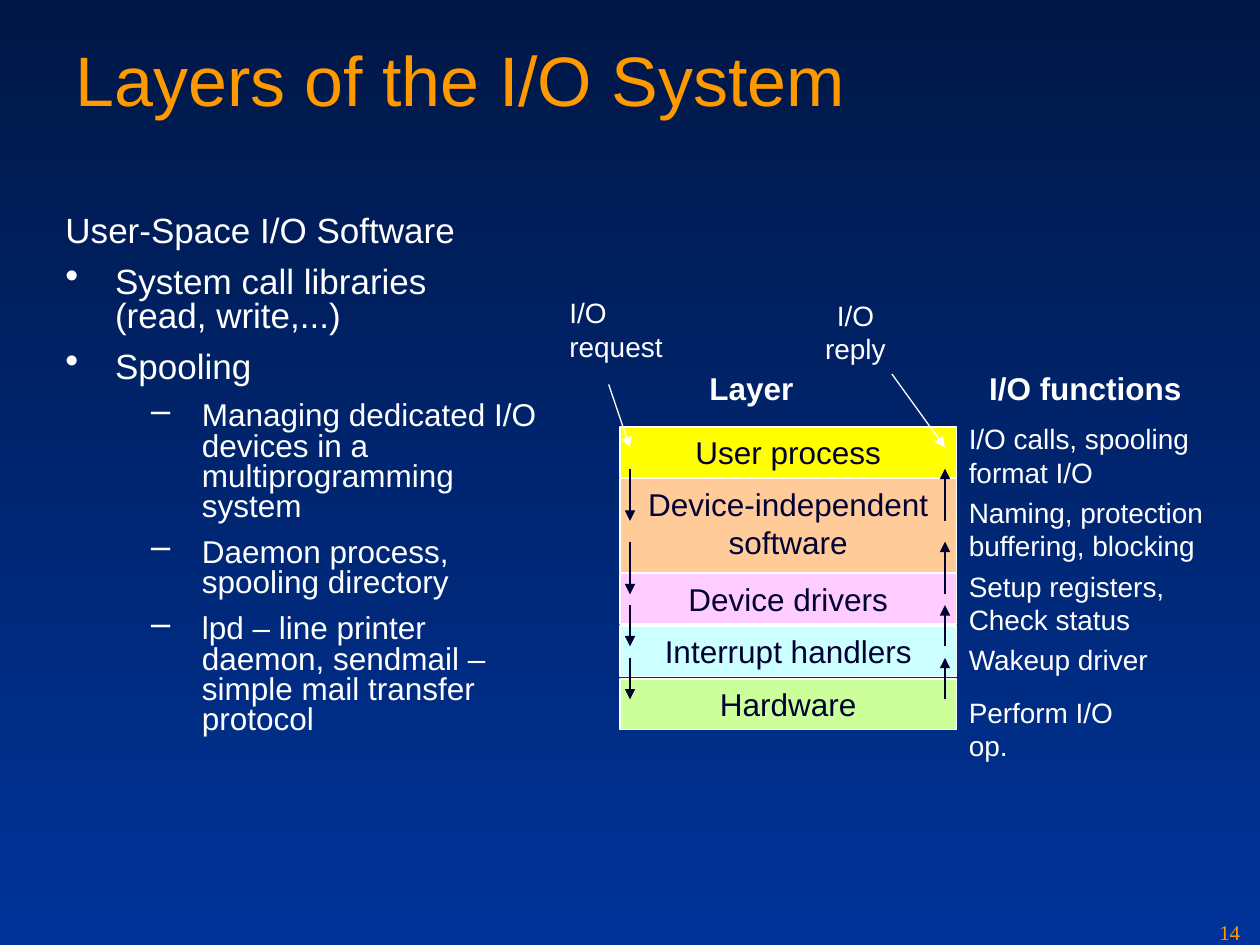
from lxml.etree import SubElement
from pptx import Presentation
from pptx.dml.color import RGBColor
from pptx.enum.shapes import MSO_CONNECTOR, MSO_SHAPE
from pptx.enum.text import MSO_ANCHOR, PP_ALIGN
from pptx.oxml.ns import qn
from pptx.util import Cm, Pt

WHITE = RGBColor(0xFF, 0xFF, 0xFF)
ORANGE = RGBColor(0xFE, 0x99, 0x00)
INK = RGBColor(0x00, 0x00, 0x33)
NIGHT = RGBColor(0x00, 0x17, 0x46)
BLUE = RGBColor(0x00, 0x33, 0x99)
YELLOW = RGBColor(0xFF, 0xFF, 0x00)
PEACH = RGBColor(0xFF, 0xCC, 0x99)
PINK = RGBColor(0xFF, 0xCC, 0xFF)
AQUA = RGBColor(0xCC, 0xFF, 0xFF)
LIME = RGBColor(0xCC, 0xFF, 0x99)

# All lengths are in centimetres.
TITLE = "Layers of the I/O System"
OUTLINE = [  # style, text
    ("heading", "User-Space I/O Software"),
    ("point", "System call libraries\v(read, write,...)"),
    ("point", "Spooling"),
    ("detail", "Managing dedicated I/O devices in a multiprogramming system"),
    ("detail", "Daemon process, spooling directory"),
    ("detail", "lpd – line printer daemon, sendmail – simple mail transfer protocol"),
]
STYLES = {
    "heading": dict(level=0, bullet=None, margin=1, hang=1, size=20, gap=5),
    "point": dict(level=0, bullet="•", margin=1, hang=1, size=20, gap=5),
    "detail": dict(level=1, bullet="–", margin=2.75, hang=1.02, size=18, gap=4.5),
}
LAYERS = [  # name, top, height, fill
    ("User process", 8.61, 1.02, YELLOW),
    ("Device-independent\nsoftware", 9.65, 1.9, PEACH),
    ("Device drivers", 11.56, 1.02, PINK),
    ("Interrupt handlers", 12.62, 1.02, AQUA),
    ("Hardware", 13.69, 1.02, LIME),
]
LAYER_LEFT, LAYER_WIDTH = 12.5, 6.78
FUNCTIONS = [  # text, top, width
    ("I/O calls, spooling\nformat I/O", 8.38, 4.95),
    ("Naming, protection\nbuffering, blocking", 9.86, 5.23),
    ("Setup registers,\nCheck status", 11.35, 4.45),
    ("Wakeup driver", 12.83, 4.14),
    ("Perform I/O op.", 13.89, 4.34),
]
REQUEST_X, REPLY_X = 12.7, 19.05
STEPS = [(9.45, 10.5), (10.92, 11.98), (12.2, 13.03), (13.26, 14.1)]
ENTRIES = [((12.27, 7.75), (REQUEST_X, 9.02)), ((17.98, 7.54), (REPLY_X, 9.02))]


def style_runs(para, size, color, name="Arial", bold=False):
    values = dict(size=Pt(size), name=name, bold=bold)
    for span in para.runs:
        for key, value in values.items():
            setattr(span.font, key, value)
        span.font.color.rgb = color


def write(shape, text, size, color, align=PP_ALIGN.LEFT, wrap=True, **font):
    frame = shape.text_frame
    frame.text = text
    frame.word_wrap = wrap
    frame.vertical_anchor = MSO_ANCHOR.TOP
    for para in frame.paragraphs:
        para.alignment = align
        style_runs(para, size, color, **font)


def add_label(page, text, left, top, width, height, size, color, **options):
    box = page.shapes.add_textbox(Cm(left), Cm(top), Cm(width), Cm(height))
    write(box, text, size, color, **options)


def add_bullet(para, char):
    props = para._p.get_or_add_pPr()
    if char is None:
        SubElement(props, qn("a:buNone"))
        return
    SubElement(SubElement(props, qn("a:buClr")), qn("a:srgbClr"), val=str(WHITE))
    SubElement(props, qn("a:buSzPct"), val="110000")
    SubElement(props, qn("a:buChar"), char=char)


def add_outline(page):
    box = page.shapes.add_textbox(Cm(1.07), Cm(4.24), Cm(10.36), Cm(11.63))
    frame = box.text_frame
    frame.word_wrap = True
    for index, (kind, text) in enumerate(OUTLINE):
        style = STYLES[kind]
        para = frame.add_paragraph() if index else frame.paragraphs[0]
        para.text = text
        para.level = style["level"]
        add_bullet(para, style["bullet"])
        props = para._p.get_or_add_pPr()
        props.set("marL", str(Cm(style["margin"])))
        # The heading wraps like a point but starts at the bullet position.
        props.set("indent", str(-Cm(style["hang"])))
        para.line_spacing = 0.8
        para.space_before = Pt(style["gap"] if index else 0)
        para.space_after = Pt(style["gap"])
        style_runs(para, style["size"], WHITE)


def add_layer(page, name, top, height, fill):
    bar = page.shapes.add_shape(MSO_SHAPE.RECTANGLE, Cm(LAYER_LEFT), Cm(top),
                                Cm(LAYER_WIDTH), Cm(height))
    bar.shadow.inherit = False
    bar.fill.solid()
    bar.fill.fore_color.rgb = fill
    bar.line.color.rgb = WHITE
    bar.line.width = Pt(0.75)
    write(bar, name, 18, INK, align=PP_ALIGN.CENTER)


def add_arrow(page, start, end, color):
    points = [Cm(value) for value in (*start, *end)]
    arrow = page.shapes.add_connector(MSO_CONNECTOR.STRAIGHT, *points)
    arrow.line.color.rgb = color
    arrow.line.width = Pt(0.75)
    SubElement(arrow.line._get_or_add_ln(), qn("a:tailEnd"), type="triangle")
    SubElement(arrow._element.spPr, qn("a:effectLst"))


def main():
    deck = Presentation()
    deck.slide_width, deck.slide_height = Cm(25.4), Cm(19.05)
    page = deck.slides.add_slide(deck.slide_layouts[6])
    backdrop = page.background.fill
    backdrop.gradient()
    backdrop.gradient_angle = 270
    for stop, color in zip(backdrop.gradient_stops, (NIGHT, BLUE)):
        stop.color.rgb = color

    add_label(page, TITLE, 1.27, 0.61, 22.86, 3.18, 40, ORANGE)
    add_outline(page)

    center = PP_ALIGN.CENTER
    add_label(page, "Layer", 12.7, 7.32, 4.9, 1.02, 18, WHITE, align=center, bold=True)
    add_label(page, "I/O functions", 19.69, 7.32, 4.39, 1.02, 18, WHITE,
              wrap=False, bold=True)
    add_label(page, "I/O\nrequest", 11.23, 5.84, 2.39, 1.63, 16, WHITE, wrap=False)
    add_label(page, "I/O\nreply", 16.38, 5.89, 1.73, 1.63, 16, WHITE,
              align=center, wrap=False)

    for layer in LAYERS:
        add_layer(page, *layer)
    for text, top, width in FUNCTIONS:
        height = 1.63 if "\n" in text else 0.94
        add_label(page, text, LAYER_LEFT + LAYER_WIDTH, top, width, height, 16, WHITE,
                  wrap=False)

    for start, end in ENTRIES:
        add_arrow(page, start, end, WHITE)
    for upper, lower in STEPS:
        add_arrow(page, (REQUEST_X, upper), (REQUEST_X, lower), INK)
        add_arrow(page, (REPLY_X, lower), (REPLY_X, upper), INK)

    add_label(page, "14", 24.33, 18.42, 1.07, 0.63, 12, ORANGE, name="Times New Roman")
    deck.save("out.pptx")


if __name__ == "__main__":
    main()
